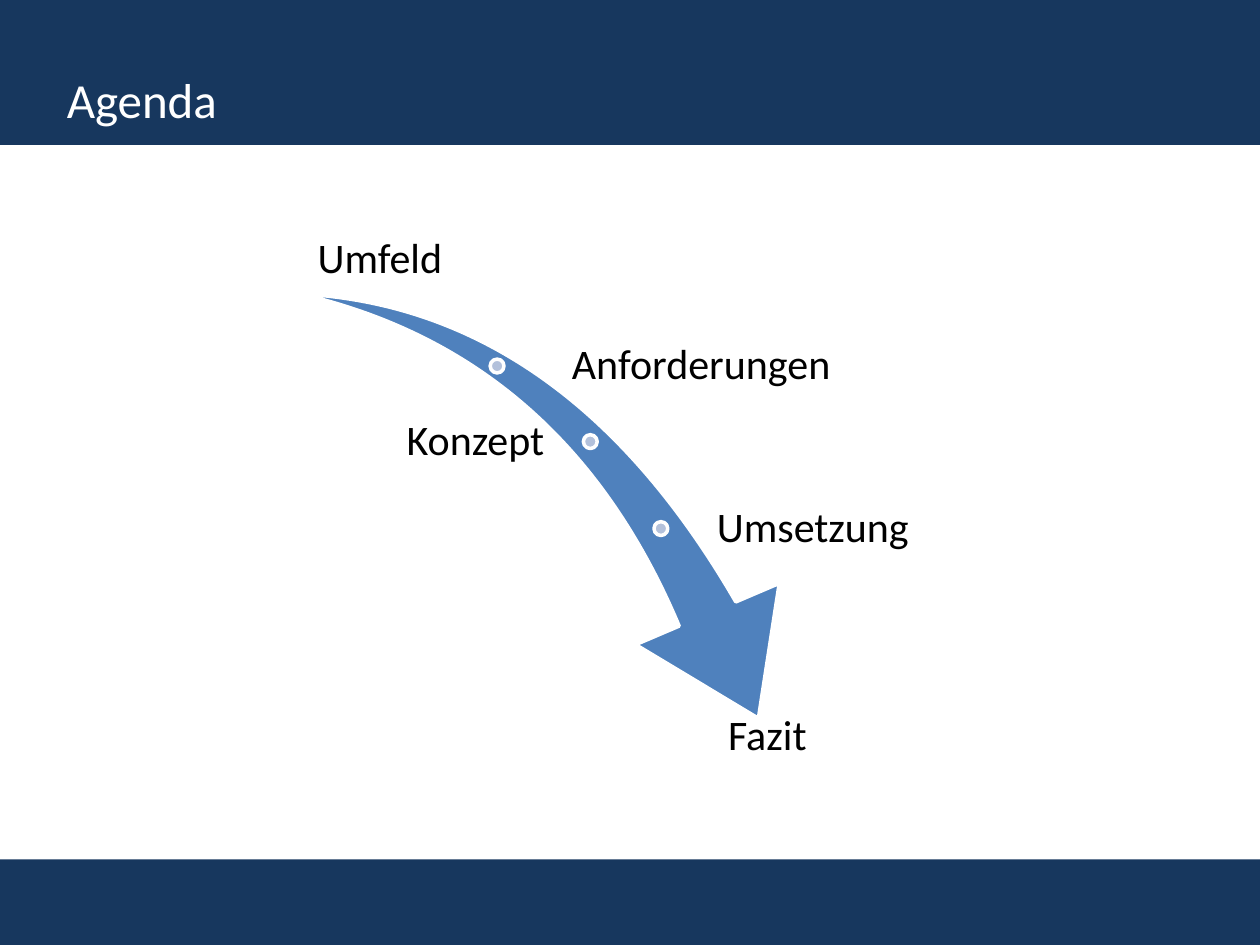
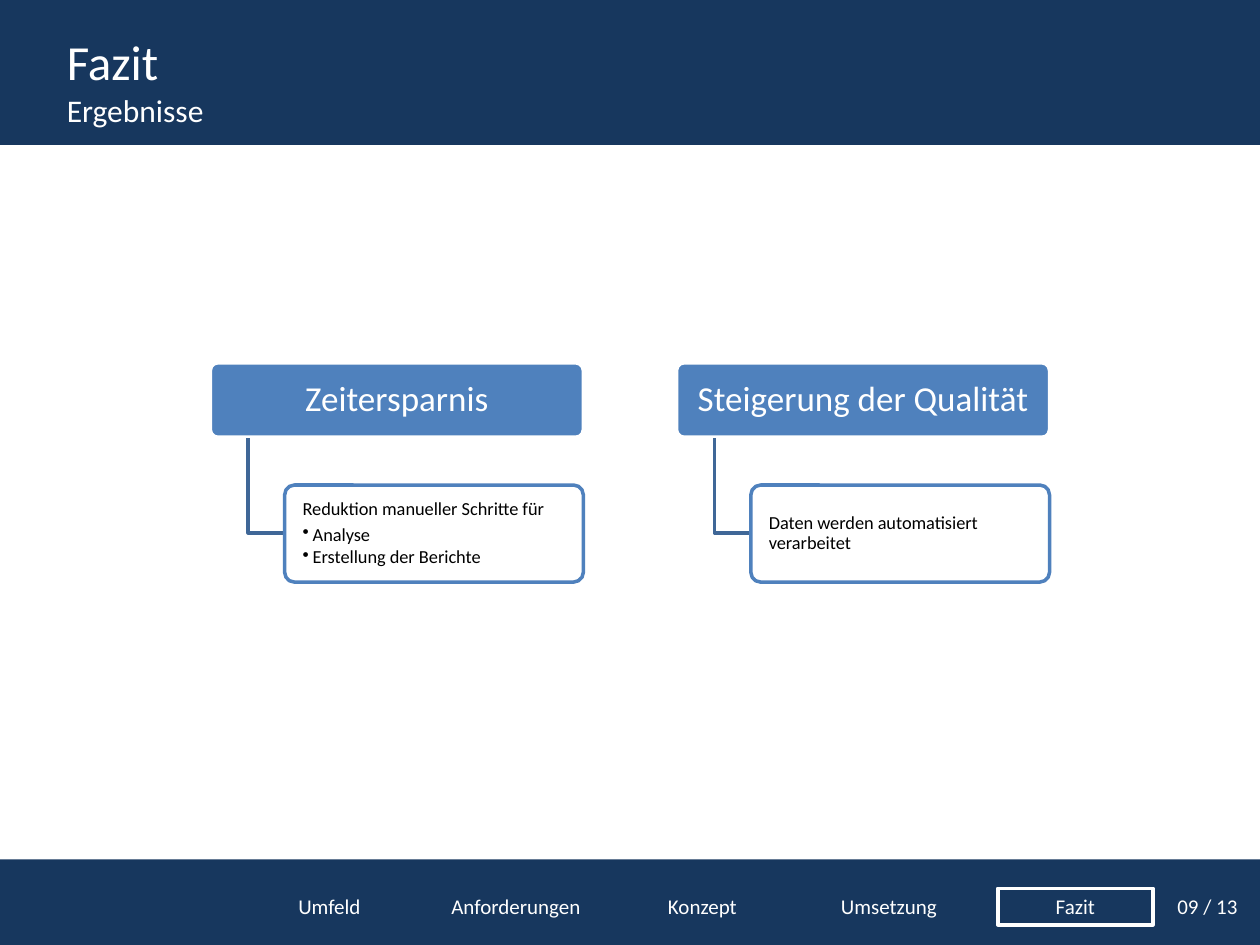
from copy import deepcopy
from dataclasses import dataclass

from lxml import etree
from pptx import Presentation
from pptx.dml.color import RGBColor
from pptx.enum.shapes import MSO_SHAPE as Shape
from pptx.enum.text import MSO_ANCHOR as Anchor, PP_ALIGN as Align
from pptx.oxml.ns import qn
from pptx.util import Inches, Pt

COLORS = {
    "navy": "17375E",
    "blue": "4F81BD",
    "elbow": "3F6797",
    "dot": "B3C1DB",
    "white": "FFFFFF",
    "black": "000000",
}
FONT = "Calibri"
CHAPTERS = ["Umfeld", "Anforderungen", "Konzept", "Umsetzung", "Fazit"]
BANDS = [(0, 0, 10, 1.15), (-0.02, 6.82, 10.02, 0.68)]
TITLE_BOX = {
    "left": Inches(0.43),
    "top": Inches(0.3),
    "width": Inches(9.07),
    "height": Inches(0.77),
}
TAB_LEFT, TAB_STEP, TAB_TOP, TAB_WIDTH, TAB_HEIGHT = 2, 1.48, 7.05, 1.23, 0.29
DOT_SIZE = 0.11
BULLET_INDENT = 0.08


@dataclass
class TextStyle:
    size: float
    color: str
    align: Align = Align.CENTER
    anchor: Anchor = Anchor.MIDDLE
    inset_x: float = 0.03
    inset_y: float = 0.03
    line_spacing: float = 0.9


@dataclass
class Milestone:
    label: str
    box: tuple[float, float, float, float]
    align: Align = Align.LEFT
    anchor: Anchor = Anchor.MIDDLE


@dataclass
class Result:
    left: float
    heading: str
    detail: str
    bullets: tuple[str, ...] = ()


MILESTONES = [
    Milestone("Umfeld", (2.01, 1.48, 2.01, 0.79), Align.CENTER, Anchor.BOTTOM),
    Milestone("Anforderungen", (4.51, 2.51, 2.94, 0.79)),
    Milestone("Konzept", (2.01, 3.11, 2.34, 0.79), Align.RIGHT),
    Milestone("Umsetzung", (5.66, 3.8, 1.8, 0.79)),
    Milestone("Fazit", (4.73, 5.64, 2.72, 0.79), Align.CENTER, Anchor.TOP),
]
DOTS = [(3.89, 2.85), (4.63, 3.45), (5.19, 4.14)]
RESULTS = [
    Result(1.67, "Zeitersparnis", "Reduktion manueller Schritte für",
           ("Analyse", "Erstellung der Berichte")),
    Result(5.37, "Steigerung der Qualität", "Daten werden automatisiert verarbeitet"),
]
TAB_STYLE = TextStyle(12, "white", inset_x=0.05, line_spacing=1)
PAGE_STYLE = TextStyle(12, "white", Align.RIGHT, inset_x=0.1, line_spacing=1)
HEADING_STYLE = TextStyle(20, "white", inset_x=0.02)
DETAIL_STYLE = TextStyle(10.5, "black", Align.LEFT, inset_x=0.02, inset_y=0.02)


def rgb(color: str) -> RGBColor:
    return RGBColor.from_string(COLORS[color])


def apply(target, values: dict) -> None:
    for attribute, value in values.items():
        setattr(target, attribute, value)


def add_run(paragraph, text: str, size: float, color: str) -> None:
    run = paragraph.add_run()
    run.text = text
    apply(run.font, {"name": FONT, "size": Pt(size)})
    run.font.color.rgb = rgb(color)


def write(shape, lines: list[str], style: TextStyle) -> list:
    frame = shape.text_frame
    apply(frame, {
        "word_wrap": True,
        "vertical_anchor": style.anchor,
        "margin_left": Inches(style.inset_x),
        "margin_right": Inches(style.inset_x),
        "margin_top": Inches(style.inset_y),
        "margin_bottom": Inches(style.inset_y),
    })
    paragraphs = [frame.paragraphs[0]] + [frame.add_paragraph() for _ in lines[1:]]
    for paragraph, line in zip(paragraphs, lines):
        apply(paragraph, {"alignment": style.align, "line_spacing": style.line_spacing})
        add_run(paragraph, line, style.size, style.color)
    return paragraphs


def paint(shape, fill: str | None, line: str | None) -> None:
    shape.shadow.inherit = False
    if fill:
        shape.fill.solid()
        shape.fill.fore_color.rgb = rgb(fill)
    else:
        shape.fill.background()
    if line:
        shape.line.color.rgb = rgb(line)
        shape.line.width = Pt(2)
    else:
        shape.line.fill.background()


def add_block(slide, kind: Shape, box: tuple, fill: str | None, line: str | None = None):
    block = slide.shapes.add_shape(kind, *map(Inches, box))
    paint(block, fill, line)
    return block


def add_label(slide, box: tuple, text: str, style: TextStyle) -> None:
    write(slide.shapes.add_textbox(*map(Inches, box)), [text], style)


def add_titled_slide(deck, heading: str, subheading: str = ""):
    slide = deck.slides.add_slide(deck.slide_layouts[5])
    for band in BANDS:
        add_block(slide, Shape.RECTANGLE, band, "navy")
    title = slide.shapes.title
    title.element.getparent().append(title.element)
    apply(title, TITLE_BOX)
    apply(title.text_frame, {"vertical_anchor": Anchor.BOTTOM, "word_wrap": True})
    paragraph = title.text_frame.paragraphs[0]
    paragraph.alignment = Align.LEFT
    add_run(paragraph, heading, 28, "white")
    if subheading:
        paragraph.add_line_break()
        heading_format = title.element.find(".//" + qn("a:rPr"))
        title.element.find(".//" + qn("a:br")).append(deepcopy(heading_format))
        add_run(paragraph, subheading, 18, "white")
    return slide


def add_navigation(slide, current: str, page: str) -> None:
    for index, chapter in enumerate(CHAPTERS):
        box = (TAB_LEFT + index * TAB_STEP, TAB_TOP, TAB_WIDTH, TAB_HEIGHT)
        if chapter == current:
            tab = add_block(slide, Shape.RECTANGLE, box, None, "white")
            write(tab, [chapter], TAB_STYLE)
        else:
            add_label(slide, box, chapter, TAB_STYLE)
    add_label(slide, (9.15, TAB_TOP, 0.77, TAB_HEIGHT), page, PAGE_STYLE)


def indent(paragraph, bulleted: bool) -> None:
    hanging = BULLET_INDENT if bulleted else 0
    properties = paragraph._p.get_or_add_pPr()
    properties.set("marL", str(Inches(0.1 + hanging)))
    properties.set("indent", str(-Inches(hanging)))
    if bulleted:
        etree.SubElement(properties, qn("a:buChar")).set("char", "•")


def add_result(slide, result: Result) -> None:
    heading = add_block(slide, Shape.ROUNDED_RECTANGLE,
                        (result.left, 2.88, 2.96, 0.59), "blue", "white")
    heading.adjustments[0] = 0.1
    write(heading, [result.heading], HEADING_STYLE)

    trunk, branch = Inches(result.left + 0.3), Inches(result.left + 0.59)
    builder = slide.shapes.build_freeform(trunk, Inches(3.48))
    builder.add_line_segments([(trunk, Inches(4.23)), (branch, Inches(4.23))], close=False)
    paint(builder.convert_to_shape(), None, "elbow")

    detail = add_block(slide, Shape.ROUNDED_RECTANGLE,
                       (result.left + 0.59, 3.85, 2.37, 0.77), "white", "blue")
    detail.adjustments[0] = 0.1
    paragraphs = write(detail, [result.detail, *result.bullets], DETAIL_STYLE)
    for index, paragraph in enumerate(paragraphs):
        paragraph.space_after = Pt(1.6 if index else 3.7)
        indent(paragraph, bulleted=index > 0)


def build_agenda(deck) -> None:
    slide = add_titled_slide(deck, "Agenda")
    swoosh = add_block(slide, Shape.SWOOSH_ARROW, (2.29, 2.46, 4.27, 2.98), "blue", "white")
    swoosh.rotation = 73.3
    swoosh.adjustments[0], swoosh.adjustments[1] = 0.163, 0.314
    for left, top in DOTS:
        add_block(slide, Shape.OVAL, (left, top, DOT_SIZE, DOT_SIZE), "dot", "white")
    for milestone in MILESTONES:
        style = TextStyle(24, "black", milestone.align, milestone.anchor)
        add_label(slide, milestone.box, milestone.label, style)


def build_conclusion(deck) -> None:
    slide = add_titled_slide(deck, "Fazit", "Ergebnisse")
    add_navigation(slide, "Fazit", "09 / 13")
    for result in RESULTS:
        add_result(slide, result)


def main() -> None:
    deck = Presentation()
    apply(deck, {"slide_width": Inches(10), "slide_height": Inches(7.5)})
    build_agenda(deck)
    build_conclusion(deck)
    deck.save("out.pptx")


if __name__ == "__main__":
    main()
